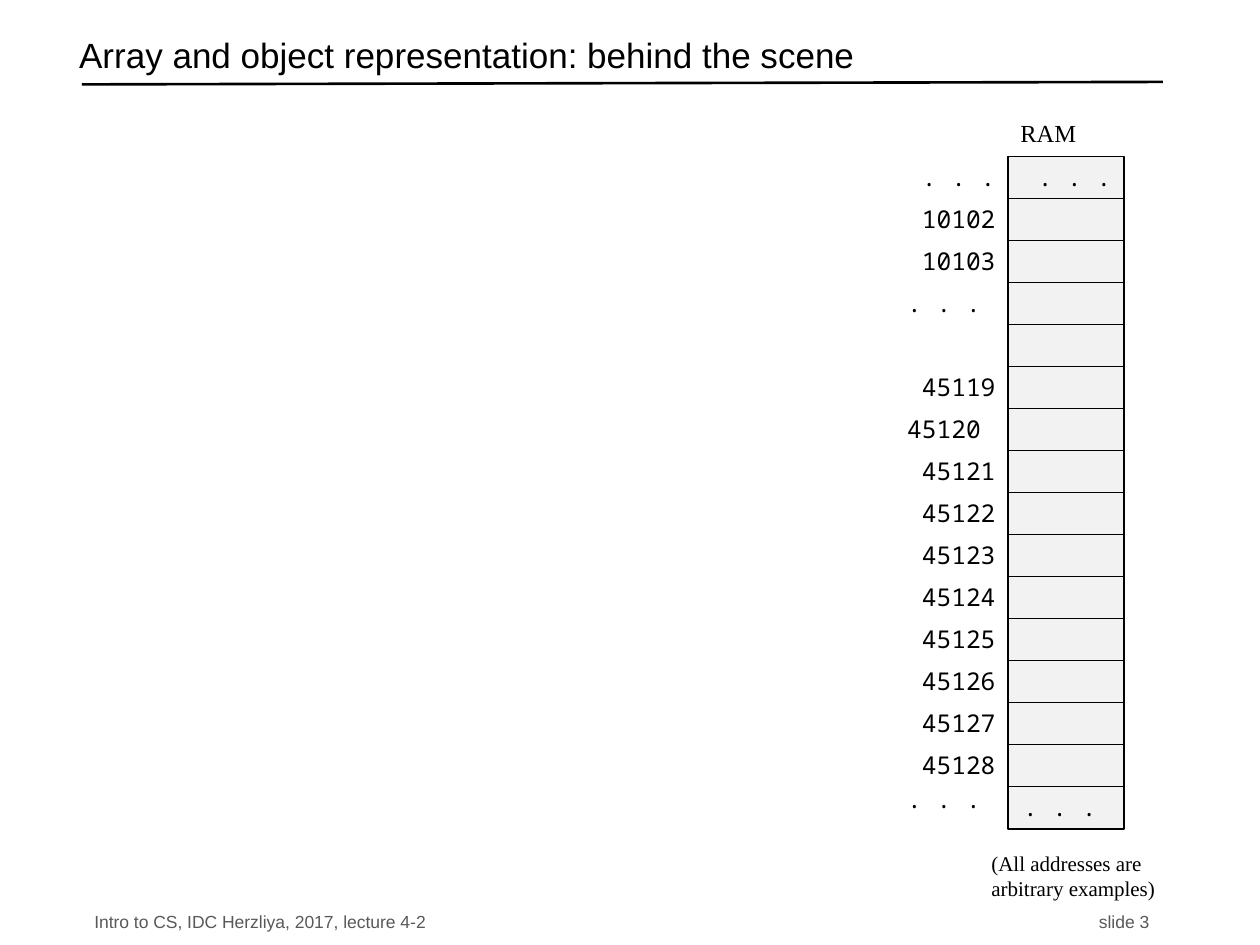
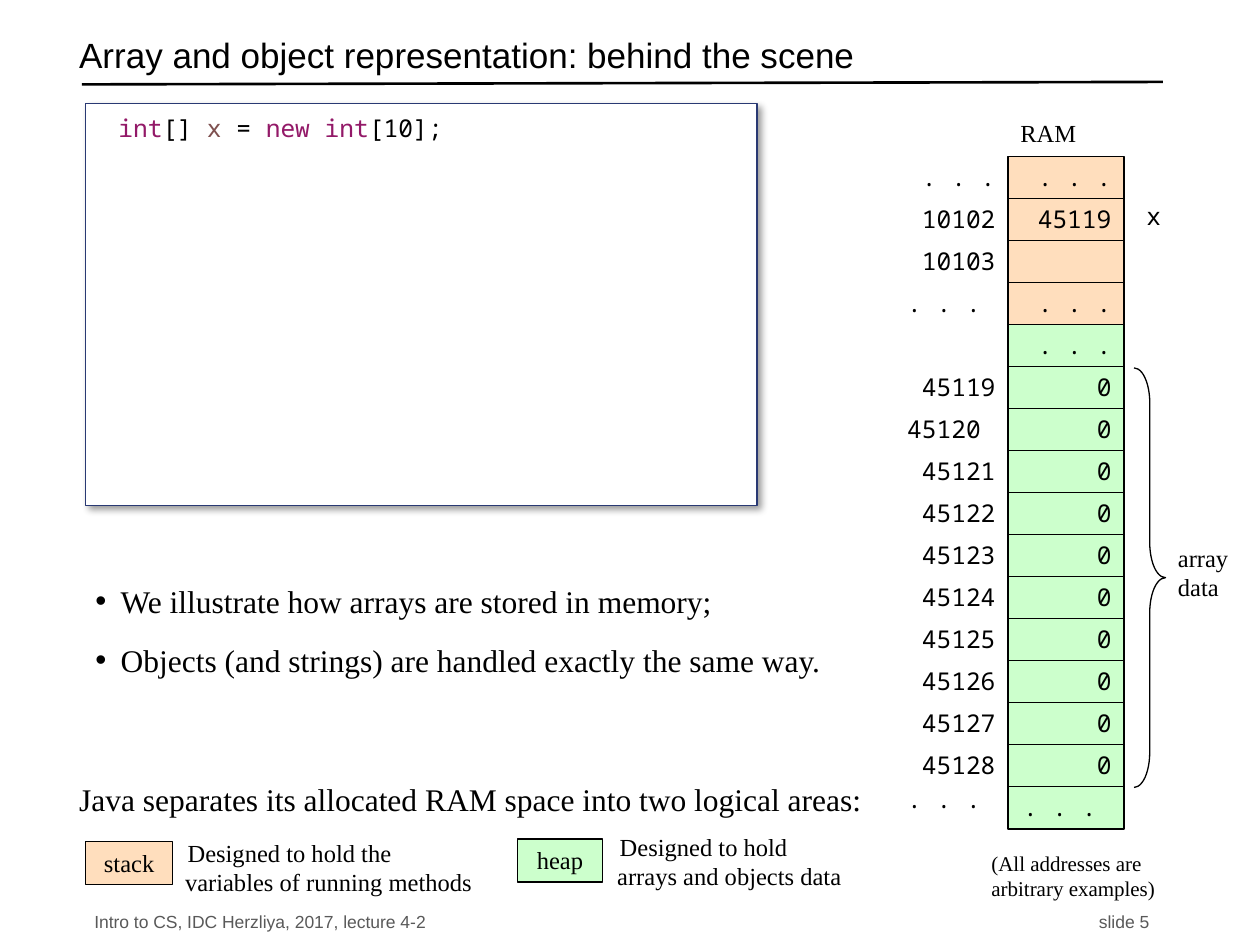
from lxml.etree import SubElement
from pptx import Presentation
from pptx.dml.color import RGBColor
from pptx.enum.shapes import MSO_CONNECTOR, MSO_SHAPE
from pptx.enum.text import MSO_ANCHOR, PP_ALIGN
from pptx.oxml.ns import qn
from pptx.util import Inches, Pt

COLOURS = {
    "ink": "000000", "footer": "595959", "paper": "FFFFFF", "unused": "F2F2F2",
    "stack": "FFDEBD", "heap": "CCFFCC", "code edge": "293973",
    "keyword": "931968", "variable": "7E504F",
}
STYLES = {
    "title": {"name": "Arial", "size": Pt(20)},
    "footer": {"name": "Arial", "size": Pt(10)},
    "code": {"name": "Noto Sans Mono", "size": Pt(14)},
    "label": {"name": "Times New Roman", "size": Pt(14)},
    "note": {"name": "Times New Roman", "size": Pt(12)},
    "body": {"name": "Times New Roman", "size": Pt(18)},
}
ADDRESSES = [". . .", "10102", "10103", ". . . ", "", "45119", "45120 ", "45121",
             "45122", "45123", "45124", "45125", "45126", "45127", "45128", ". . . "]
RAM_LEFT, RAM_TOP, CELL_PITCH = 8, 1.24, 1 / 3
STACK_CELLS = 4
MEMORY_STATES = [
    {"number": 3, "values": [". . ."] + [""] * 14 + [". . . "], "areas": False},
    {"number": 5, "values": [". . .", "45119", "", ". . .", ". . ."] + ["0"] * 10 + [". . . "],
     "areas": True},
]


def add_box(slide, left, top, width, height, fill=None, edge="ink"):
    """Add a text box, or an outlined rectangle when a fill is given."""
    area = [Inches(length) for length in (left, top, width, height)]
    if fill:
        box = slide.shapes.add_shape(MSO_SHAPE.RECTANGLE, *area)
        box.shadow.inherit = False
        box.fill.solid()
        box.fill.fore_color.rgb = RGBColor.from_string(COLOURS[fill])
        box.line.color.rgb = RGBColor.from_string(COLOURS[edge])
        box.line.width = Pt(0.75)
    else:
        box = slide.shapes.add_textbox(*area)
    box.text_frame.word_wrap = True
    box.text_frame.vertical_anchor = MSO_ANCHOR.TOP
    return box


def write(box, paragraphs, style, colour="ink", **paragraph_format):
    """Fill a box with paragraphs, each a string or a list of (text, colour)."""
    frame = box.text_frame
    for index, content in enumerate(paragraphs):
        paragraph = frame.add_paragraph() if index else frame.paragraphs[0]
        for attribute, value in ({"alignment": PP_ALIGN.LEFT} | paragraph_format).items():
            setattr(paragraph, attribute, value)
        segments = [(content, colour)] if isinstance(content, str) else content
        for text, segment_colour in segments:
            for line_number, line in enumerate(text.split("\n")):
                if line_number:
                    paragraph.add_line_break()
                run = paragraph.add_run()
                run.text = line
                run.font.color.rgb = RGBColor.from_string(COLOURS[segment_colour])
                for attribute, value in STYLES[style].items():
                    setattr(run.font, attribute, value)
        for line_break in paragraph._p.findall(qn("a:br")):
            SubElement(line_break, qn("a:rPr"), sz=str(int(STYLES[style]["size"].pt * 100)))


prs = Presentation()
prs.slide_width, prs.slide_height = Inches(10), Inches(7.5)

for state in MEMORY_STATES:
    slide = prs.slides.add_slide(prs.slide_layouts[6])

    # Title, rule and footer
    title = add_box(slide, 0.53, 0.22, 8.6, 0.5)
    title.text_frame.vertical_anchor = MSO_ANCHOR.MIDDLE
    write(title, ["Array and object representation: behind the scene"], "title", line_spacing=0.7)
    rule = slide.shapes.add_connector(
        MSO_CONNECTOR.STRAIGHT, Inches(0.65), Inches(0.67), Inches(9.23), Inches(0.65))
    rule.line.color.rgb = RGBColor.from_string(COLOURS["ink"])
    rule.line.width = Pt(1.5)
    SubElement(rule._element.spPr, qn("a:effectLst"))
    for left, width, text, align in [
        (0.65, 6, "Intro to CS, IDC Herzliya, 2017, lecture 4-2", PP_ALIGN.LEFT),
        (7.22, 2, f"slide {state['number']}", PP_ALIGN.RIGHT),
    ]:
        footer = add_box(slide, left, 7.19, width, 0.25)
        footer.text_frame.vertical_anchor = MSO_ANCHOR.MIDDLE
        write(footer, [text], "footer", "footer", alignment=align)

    # Memory column with its addresses
    write(add_box(slide, RAM_LEFT, 0.89, 1.25, 0.42), ["RAM"], "label")
    for index, (address, value) in enumerate(zip(ADDRESSES, state["values"])):
        top = RAM_TOP + index * CELL_PITCH
        area = "stack" if index < STACK_CELLS else "heap"
        cell = add_box(slide, RAM_LEFT, top, 0.92, 0.34, area if state["areas"] else "unused")
        if value:
            write(cell, [value], "code", alignment=PP_ALIGN.RIGHT)
        if address:
            label_top = 6.17 if index == len(ADDRESSES) - 1 else top
            write(add_box(slide, 6.92, label_top, 1.08, 0.33), [address], "code",
                  alignment=PP_ALIGN.RIGHT)
    write(add_box(slide, 7.77, 6.7, 1.83, 0.42), ["(All addresses are arbitrary examples)"], "note")

    if not state["areas"]:
        continue

    # Code panel
    code_panel = add_box(slide, 0.68, 0.82, 5.33, 3.19, "paper", "code edge")
    for side, inset in {"left": 0.26, "top": 0.08, "right": 0.18, "bottom": 0.08}.items():
        setattr(code_panel.text_frame, f"margin_{side}", Inches(inset))
    write(code_panel, [[("int", "keyword"), ("[] ", "ink"), ("x", "variable"), (" = ", "ink"),
                        ("new int", "keyword"), ("[10];", "ink")]], "code", space_before=Pt(3))
    effects = code_panel._element.spPr.find(qn("a:effectLst"))
    shadow = SubElement(effects, qn("a:outerShdw"), blurRad=str(Pt(4)), dist=str(Pt(3)),
                        dir=str(45 * 60000), algn="tl", rotWithShape="0")
    shadow_colour = SubElement(shadow, qn("a:srgbClr"), val=COLOURS["ink"])
    SubElement(shadow_colour, qn("a:alpha"), val="40000")

    # Names beside the memory column
    write(add_box(slide, 9, 1.55, 0.97, 0.33), ["x"], "code")
    array_brace = slide.shapes.add_shape(
        MSO_SHAPE.RIGHT_BRACE, Inches(9), Inches(2.92), Inches(0.25), Inches(3.33))
    array_brace.shadow.inherit = False
    array_brace.adjustments[0] = 1.11
    array_brace.fill.background()
    array_brace.line.color.rgb = RGBColor.from_string(COLOURS["ink"])
    array_brace.line.width = Pt(0.75)
    write(add_box(slide, 9.25, 4.26, 0.79, 0.57), ["array data"], "label")

    # Remarks
    remarks = add_box(slide, 0.66, 4.57, 6.17, 1.05)
    write(remarks, ["We illustrate how arrays are stored in memory;",
                    "Objects (and strings) are handled exactly the same way."],
          "body", space_before=Pt(12))
    for paragraph in remarks.text_frame.paragraphs:
        properties = paragraph._p.get_or_add_pPr()
        properties.set("marL", str(Inches(0.2)))
        properties.set("indent", str(Inches(-0.2)))
        SubElement(properties, qn("a:buFont"), typeface="Arial")
        SubElement(properties, qn("a:buChar"), char="•")

    # Legend of the two memory areas
    write(add_box(slide, 0.53, 6.14, 6.55, 0.48),
          ["Java separates its allocated RAM space into two logical areas:"], "body",
          space_before=Pt(12))
    for area, left, top, width, text_left, text_top, text_width, purpose in [
        ("stack", 0.68, 6.68, 0.69, 1.37, 6.6, 2.89,
         "Designed to hold the\nvariables of running methods"),
        ("heap", 4.11, 6.66, 0.67, 4.8, 6.55, 2.49,
         "Designed to hold\narrays and objects data"),
    ]:
        write(add_box(slide, left, top, width, 0.34, area), [area], "label",
              alignment=PP_ALIGN.CENTER)
        description = add_box(slide, text_left, text_top, text_width, 0.58)
        write(description, [purpose], "label")
        description.text_frame.paragraphs[0]._p.get_or_add_pPr().set("indent", str(Inches(0.02)))

prs.save("out.pptx")
